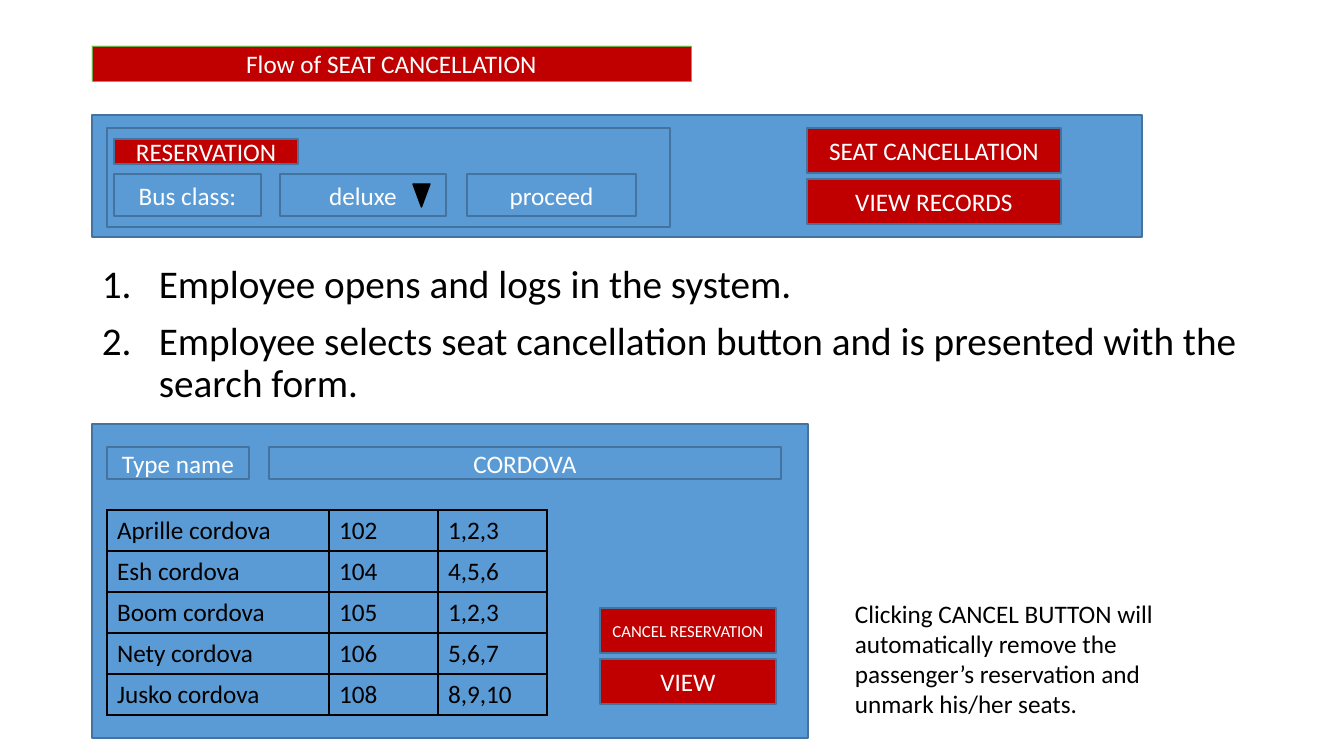
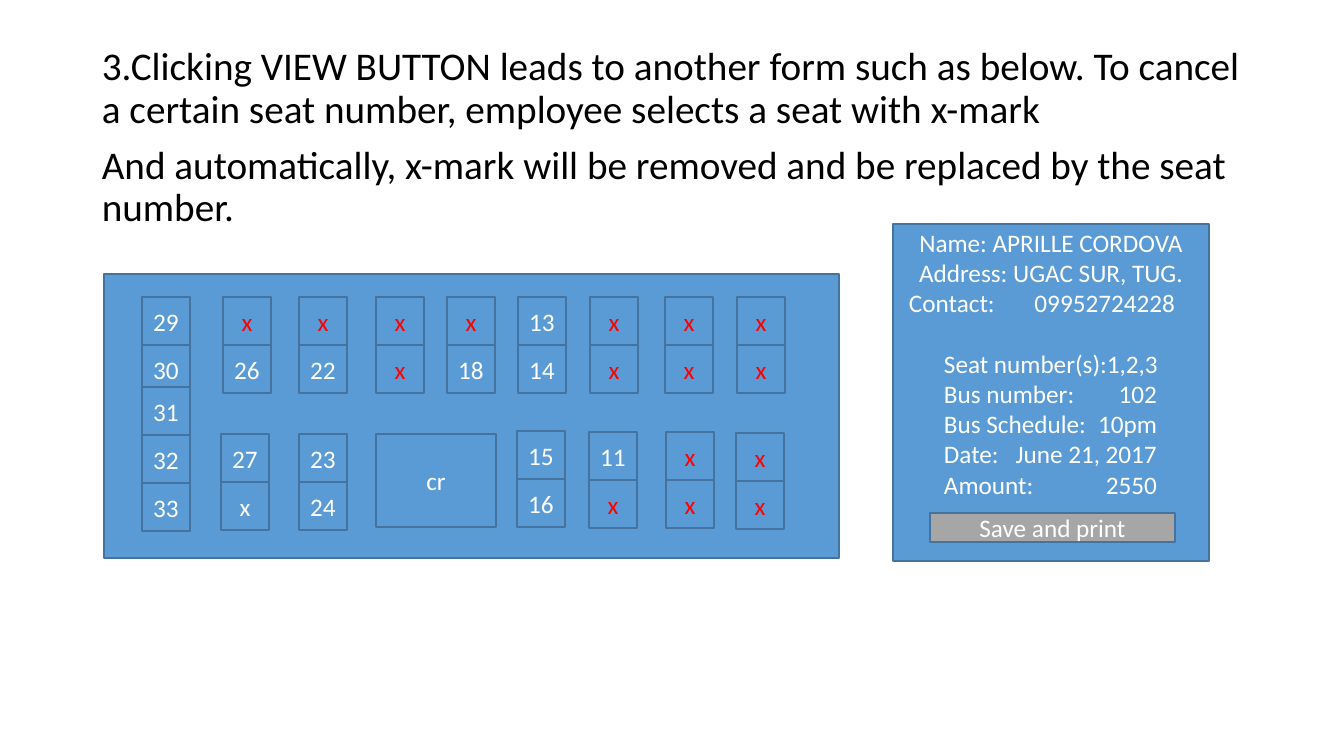
from lxml.etree import SubElement
from pptx import Presentation
from pptx.dml.color import RGBColor
from pptx.enum.shapes import MSO_SHAPE as SHAPE
from pptx.enum.text import MSO_ANCHOR as ANCHOR, PP_ALIGN as ALIGN
from pptx.oxml.ns import qn
from pptx.util import Emu, Pt

EMU_PER_PX = 914400 / 100.8
FONT = "Calibri"
COLORS = {
    "blue": "5B9BD5", "edge": "43739E", "red": "C00000", "green": "70AD47",
    "gray": "A6A6A6", "mark": "FF0000", "white": "FFFFFF", "black": "000000",
}
SEAT = 48


def px(length):
    """Turn pixels into EMU."""
    return Emu(round(length * EMU_PER_PX))


def rgb(name):
    """Look up a named colour."""
    return RGBColor.from_string(COLORS[name])


def style_text(frame, size=18, color="white"):
    """Set font, size and colour of every run in a text frame."""
    for paragraph in frame.paragraphs:
        for run in paragraph.runs:
            run.font.name = FONT
            run.font.size = Pt(size)
            run.font.color.rgb = rgb(color)


def block(slide, box, text="", fill="blue", edge="edge", weight=1,
          size=18, color="white", kind=SHAPE.RECTANGLE):
    """Draw an outlined shape with centred text; a fill of None leaves it open."""
    shape = slide.shapes.add_shape(kind, *map(px, box))
    shape.shadow.inherit = False
    if fill:
        shape.fill.solid()
        shape.fill.fore_color.rgb = rgb(fill)
    else:
        shape.fill.background()
    shape.line.color.rgb = rgb(edge)
    shape.line.width = Pt(weight)
    frame = shape.text_frame
    frame.word_wrap = True
    frame.vertical_anchor = ANCHOR.MIDDLE
    if text:
        frame.text = text
        for paragraph in frame.paragraphs:
            paragraph.alignment = ALIGN.CENTER
        style_text(frame, size, color)
    return shape


def text_box(slide, box, text, size):
    """Add wrapped black text and return its frame."""
    frame = slide.shapes.add_textbox(*map(px, box)).text_frame
    frame.word_wrap = True
    frame.text = text
    style_text(frame, size, "black")
    return frame


def body(slide, box, text, numbered=False):
    """Add the large body paragraphs, numbered on request."""
    for paragraph in text_box(slide, box, text, 28).paragraphs:
        paragraph.line_spacing = 0.9
        paragraph.space_before = Pt(10)
        if numbered:
            props = paragraph._p.get_or_add_pPr()
            props.set("marL", str(px(57)))
            props.set("indent", str(-px(57)))
            SubElement(props, qn("a:buFont"), typeface="+mj-lt")
            SubElement(props, qn("a:buAutoNum"), type="arabicPeriod")


def border_cell(cell):
    """Draw a thin black line on all four sides of a cell."""
    props = cell._tc.get_or_add_tcPr()
    for position, side in enumerate(("lnL", "lnR", "lnT", "lnB")):
        line = props.makeelement(qn("a:" + side), {"w": str(Pt(1))})
        fill = SubElement(line, qn("a:solidFill"))
        SubElement(fill, qn("a:srgbClr"), val=COLORS["black"])
        props.insert(position, line)


def column_table(slide, box, values):
    """Add an unfilled one-column table with equal rows."""
    table = slide.shapes.add_table(len(values), 1, *map(px, box)).table
    table.first_row = table.horz_banding = False
    for row, value in enumerate(values):
        cell = table.cell(row, 0)
        cell.text = value
        style_text(cell.text_frame, color="black")
        cell.fill.background()
        border_cell(cell)


def menu_bar(slide, x, y):
    """Draw the main menu: reservation controls and two buttons."""
    block(slide, (x, y, 1050, 122))
    for left, width, label in ((188, 166, "deluxe"), (22, 147, "Bus class:"),
                               (375, 169, "proceed")):
        block(slide, (x + left, y + 59, width, 42), label)
    block(slide, (x + 321, y + 69, 17, 23), fill="black", edge="black",
          kind=SHAPE.FLOWCHART_MERGE)
    block(slide, (x + 15, y + 13, 563, 99), fill=None)
    block(slide, (x + 22, y + 24, 184, 25), "RESERVATION", "red")
    for row, label in enumerate(("SEAT CANCELLATION", "VIEW RECORDS")):
        block(slide, (x + 715, y + 13 + 51 * row, 254, 45), label, "red")


def search_form(slide, x, y):
    """Draw the name search with its result columns and buttons."""
    block(slide, (x, y, 716, 314))
    block(slide, (x + 15, y + 23, 142, 32), "Type name")
    block(slide, (x + 177, y + 23, 512, 32), "CORDOVA")
    passengers = [f"{name} cordova" for name in
                  ("Aprille", "Esh", "Boom", "Nety", "Jusko")]
    buses = ["102", "104", "105", "106", "108"]
    seats = ["1,2,3", "4,5,6", "1,2,3", "5,6,7", "8,9,10"]
    left = x + 15
    for width, values in ((222, passengers), (109, buses), (109, seats)):
        column_table(slide, (left, y + 86, width, 41 * len(values)), values)
        left += width
    for row, (label, size) in enumerate((("CANCEL RESERVATION", 12), ("VIEW", 18))):
        block(slide, (x + 508, y + 184 + 51 * row, 176, 45), label, "red", size=size)


def seat_stack(slide, x, y, labels, mark="mark"):
    """Stack seats downwards; a seat marked x takes the mark colour."""
    for row, label in enumerate(labels.split()):
        block(slide, (x, y + SEAT * row, SEAT, SEAT), label,
              color=mark if label == "x" else "white")


def seat_map(slide, x, y):
    """Draw the bus floor plan with both seat sides and the restroom."""
    block(slide, (x, y, 735, 284))
    upper = ((38, "29 30"), (119, "x 26"), (195, "x 22"), (272, "x x"),
             (343, "x 18"), (414, "13 14"), (486, "x x"), (561, "x x"),
             (633, "x x"))
    for left, labels in upper:
        seat_stack(slide, x + left, y + 23, labels)
    seat_stack(slide, x + 38, y + 113, "31 32 33")
    seat_stack(slide, x + 117, y + 160, "27 x", mark="white")
    lower = ((195, 160, "23 24"), (413, 157, "15 16"), (485, 158, "11 x"),
             (562, 158, "x x"), (632, 159, "x x"))
    for left, top, labels in lower:
        seat_stack(slide, x + left, y + top, labels)
    block(slide, (x + 272, y + 160, 120, 93), "cr")


def set_tabs(paragraph, stops):
    """Left-align a paragraph on the given (pixel, alignment) tab stops."""
    paragraph.alignment = ALIGN.LEFT
    tabs = SubElement(paragraph._p.get_or_add_pPr(), qn("a:tabLst"))
    for position, side in stops:
        SubElement(tabs, qn("a:tab"), pos=str(px(position)), algn=side)


def ticket(slide, x, y):
    """Draw the passenger's booking details and the save button."""
    details = ("Name: APRILLE CORDOVA", "Address: UGAC SUR, TUG.",
               "Contact:\t09952724228", "Seat number(s):1,2,3",
               "\tBus number:\t102", "\tBus Schedule:\t10pm",
               "\tDate:\tJune 21, 2017", "\tAmount:\t2550")
    frame = block(slide, (x, y, 316, 337), "\n".join(details)).text_frame
    frame.vertical_anchor = ANCHOR.TOP
    frame.margin_top = px(3)
    frame.margin_left = frame.margin_right = px(16)
    contact, seats, *trip = frame.paragraphs[2:]
    set_tabs(contact, ((266, "r"),))
    seats.space_before = Pt(21.6)
    for paragraph in trip:
        set_tabs(paragraph, ((35, "l"), (248, "r")))
    block(slide, (x + 37, y + 289, 245, 29), "Save and print", "gray")


def cancellation_slide(slide):
    """Build the slide that leads from the menu to the search form."""
    block(slide, (92, 46, 599, 35), "Flow of SEAT CANCELLATION", "red",
          edge="green", weight=0.5)
    menu_bar(slide, 92, 115)
    body(slide, (92, 260, 1160, 164),
         "Employee opens and logs in the system.\n"
         "Employee selects seat cancellation button and is presented with "
         "the search form.", numbered=True)
    search_form(slide, 92, 424)
    text_box(slide, (845, 593, 328, 132),
             "Clicking CANCEL BUTTON will automatically remove the "
             "passenger’s reservation and unmark his/her seats.", 18)


def view_slide(slide):
    """Build the slide with the seat map and the booking details."""
    body(slide, (92, 42, 1160, 639),
         "3.Clicking VIEW BUTTON leads to another form such as below. To "
         "cancel a certain seat number, employee selects a seat with x-mark\n"
         "And automatically, x-mark will be removed and be replaced by the "
         "seat number.")
    seat_map(slide, 104, 274)
    ticket(slide, 893, 224)


deck = Presentation()
deck.slide_width, deck.slide_height = px(1344), px(756)
for build in (cancellation_slide, view_slide):
    build(deck.slides.add_slide(deck.slide_layouts[6]))
deck.save("out.pptx")
